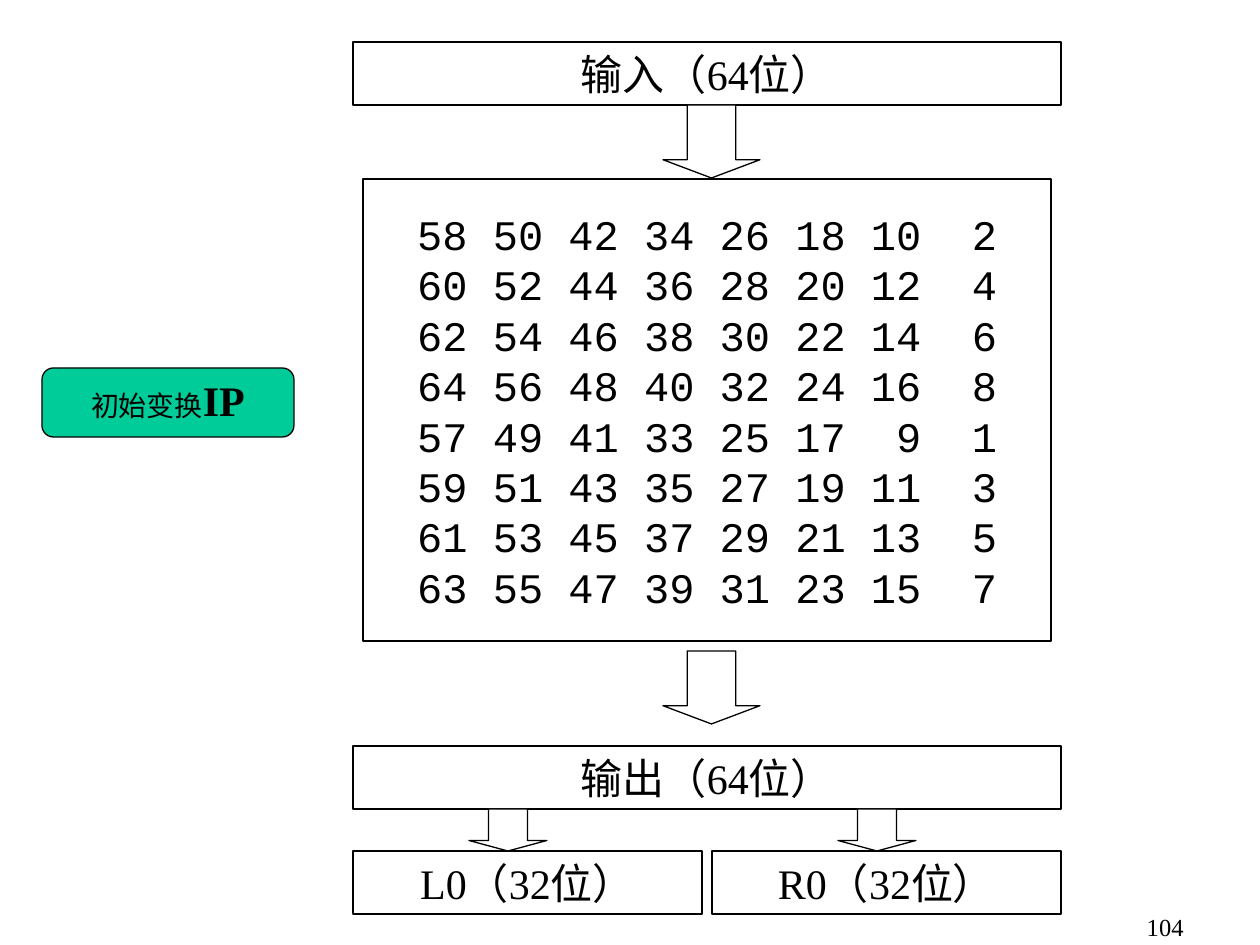
from dataclasses import dataclass

from pptx import Presentation
from pptx.dml.color import RGBColor
from pptx.enum.shapes import MSO_SHAPE
from pptx.enum.text import MSO_ANCHOR, PP_ALIGN
from pptx.util import Emu, Pt

RECTANGLE = MSO_SHAPE.RECTANGLE
ROUNDED = MSO_SHAPE.ROUNDED_RECTANGLE
DOWN_ARROW = MSO_SHAPE.DOWN_ARROW
MIDDLE = MSO_ANCHOR.MIDDLE
CENTER, RIGHT = PP_ALIGN.CENTER, PP_ALIGN.RIGHT

EMU_PER_PX = 914400 / 126


def px(length):
    return Emu(round(length * EMU_PER_PX))


@dataclass(frozen=True)
class Theme:
    ink: RGBColor = RGBColor(0, 0, 0)
    paper: RGBColor = RGBColor(255, 255, 255)
    accent: RGBColor = RGBColor(0, 0xCC, 0x99)
    serif: str = "Times New Roman"
    mono: str = "Courier New"
    body: int = 24
    label: int = 16
    footer: int = 14
    outline: float = 0.75


class Board:
    def __init__(self, slide, theme):
        self.slide = slide
        self.theme = theme

    def shape(self, kind, left, top, width, height, fill=None):
        shape = self.slide.shapes.add_shape(
            kind, px(left), px(top), px(width), px(height))
        shape.shadow.inherit = False
        shape.fill.solid()
        shape.fill.fore_color.rgb = fill or self.theme.paper
        shape.line.color.rgb = self.theme.ink
        shape.line.width = Pt(self.theme.outline)
        return shape

    def run(self, paragraph, text, size, font=None, bold=False):
        run = paragraph.add_run()
        run.text = text
        run.font.name = font or self.theme.serif
        run.font.size = Pt(size)
        run.font.bold = bold
        run.font.color.rgb = self.theme.ink

    def box(self, lines, left, top, width, height, font=None):
        shape = self.shape(RECTANGLE, left, top, width, height)
        frame = shape.text_frame
        frame.word_wrap = False
        frame.vertical_anchor = MIDDLE
        for index, line in enumerate(lines):
            paragraph = frame.add_paragraph() if index else frame.paragraphs[0]
            paragraph.alignment = CENTER
            self.run(paragraph, line, self.theme.body, font)

    def arrow(self, left, top, width, height):
        shape = self.shape(DOWN_ARROW, left, top, width, height)
        shape.adjustments[0] = 0.5
        shape.adjustments[1] = 0.25

    def badge(self, label, name, left, top, width, height):
        shape = self.shape(ROUNDED, left, top, width, height, self.theme.accent)
        frame = shape.text_frame
        frame.vertical_anchor = MIDDLE
        frame.margin_bottom = px(12)
        paragraph = frame.paragraphs[0]
        paragraph.alignment = CENTER
        self.run(paragraph, label, self.theme.label)
        self.run(paragraph, name, self.theme.body, bold=True)

    def page_number(self, text, left, top, width, height):
        box = self.slide.shapes.add_textbox(
            px(left), px(top), px(width), px(height))
        box.text_frame.word_wrap = True
        paragraph = box.text_frame.paragraphs[0]
        paragraph.alignment = RIGHT
        self.run(paragraph, text, self.theme.footer)


def permutation_rows():
    """Even bit positions first, then odd; each row steps down by 8."""
    starts = [*range(58, 65, 2), *range(57, 64, 2)]
    return [" ".join(f"{start - 8 * column:>2}" for column in range(8))
            for start in starts]


def main():
    presentation = Presentation()
    presentation.slide_width = px(1260)
    presentation.slide_height = px(945)
    slide = presentation.slides.add_slide(presentation.slide_layouts[6])
    theme = Theme()
    board = Board(slide, theme)

    # Input, permutation table and output
    board.box(["输入（64位）"], 353, 42, 708, 63)
    board.box(permutation_rows(), 363, 179, 688, 462, theme.mono)
    board.box(["输出（64位）"], 353, 746, 708, 63)
    for top in (105, 651):
        board.arrow(663, top, 97, 73)

    # Left and right halves
    for half, left, arrow_left in (("L0", 353, 469), ("R0", 712, 838)):
        board.box([f"{half}（32位）"], left, 851, 349, 63)
        board.arrow(arrow_left, 809, 78, 42)

    # Stage name and page number
    board.badge("初始变换", "IP", 42, 368, 252, 69)
    board.page_number("104", 934, 906, 262, 63)

    presentation.save("out.pptx")


if __name__ == "__main__":
    main()
